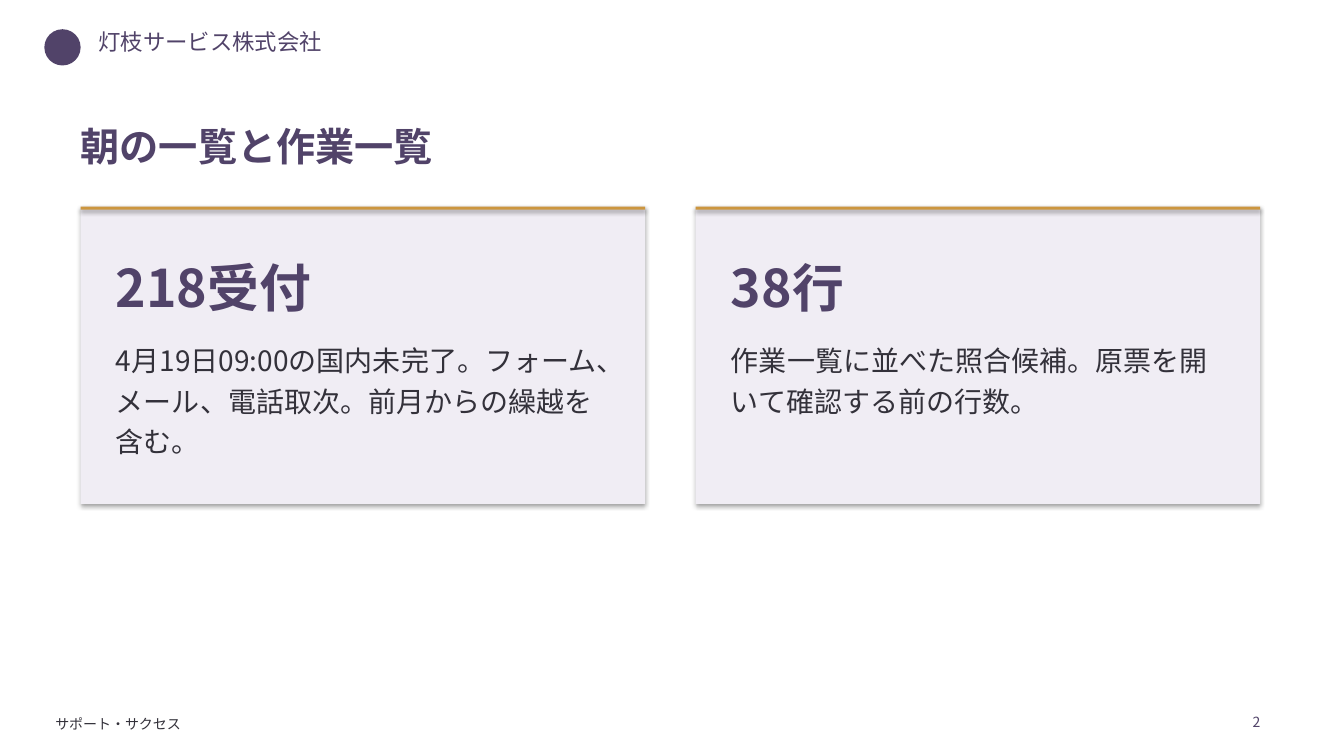
from lxml import etree
from pptx import Presentation
from pptx.dml.color import RGBColor
from pptx.enum.shapes import MSO_SHAPE
from pptx.enum.text import MSO_ANCHOR, MSO_AUTO_SIZE, PP_ALIGN
from pptx.oxml.ns import qn
from pptx.util import Inches, Pt

RECTANGLE = MSO_SHAPE.RECTANGLE
OVAL = MSO_SHAPE.OVAL
TOP, MIDDLE = MSO_ANCHOR.TOP, MSO_ANCHOR.MIDDLE
LEFT, RIGHT = PP_ALIGN.LEFT, PP_ALIGN.RIGHT
FIT_SHAPE, FIXED = MSO_AUTO_SIZE.SHAPE_TO_FIT_TEXT, MSO_AUTO_SIZE.NONE

CELL = Inches(0.1)
MARGIN, CARD_WIDTH, GUTTER = 8, 56, 5
CARD_TOP, CARD_HEIGHT, BAR_HEIGHT = 20.5, 29.5, 0.3
COLORS = {"purple": "514369", "gold": "CC963F", "lilac": "F0EDF4", "ink": "33313A"}
CARDS = [
    ("218受付", "4月19日09:00の国内未完了。フォーム、メール、電話取次。前月からの繰越を含む。"),
    ("38行", "作業一覧に並べた照合候補。原票を開いて確認する前の行数。"),
]


def grid(*cells):
    return [round(cell * CELL) for cell in cells]


class SlideBuilder:
    font_name = "Noto Sans CJK JP"
    line_spacing = 1.2

    def __init__(self, presentation):
        self.slide = presentation.slides.add_slide(presentation.slide_layouts[5])

    def add_text(self, paragraph, text, size, color, bold=False, align=LEFT, spacing=None):
        paragraph.alignment = align
        paragraph.line_spacing = spacing
        run = paragraph.add_run()
        run.text = text
        font = run.font
        font.size, font.bold, font.name = Pt(size), bold, self.font_name
        font.color.rgb = RGBColor.from_string(COLORS[color])
        east_asian = etree.SubElement(font._element, qn("a:ea"))
        east_asian.set("typeface", self.font_name)

    def frame(self, shape, horizontal=0, vertical=0, anchor=TOP):
        frame = shape.text_frame
        frame.margin_left = frame.margin_right = round(horizontal * CELL)
        frame.margin_top = frame.margin_bottom = round(vertical * CELL)
        frame.vertical_anchor = anchor
        frame.word_wrap = True
        frame.auto_size = FIXED
        return frame

    def title(self, text, *cells):
        title = self.slide.shapes.title
        title.left, title.top, title.width, title.height = grid(*cells)
        paragraph = self.frame(title, anchor=MIDDLE).paragraphs[0]
        self.add_text(paragraph, text, 28, "purple", True, spacing=self.line_spacing)

    def label(self, text, size, color, *cells):
        frame = self.slide.shapes.add_textbox(*grid(*cells)).text_frame
        frame.word_wrap = False
        frame.auto_size = FIT_SHAPE
        self.add_text(frame.paragraphs[0], text, size, color)

    def page_number(self, text, *cells):
        box = self.slide.shapes.add_textbox(*grid(*cells))
        paragraph = self.frame(box).paragraphs[0]
        self.add_text(paragraph, text, 10, "purple", align=RIGHT, spacing=self.line_spacing)

    def block(self, kind, color, *cells, shadow=True):
        shape = self.slide.shapes.add_shape(kind, *grid(*cells))
        shape.fill.solid()
        shape.fill.fore_color.rgb = RGBColor.from_string(COLORS[color])
        shape.line.fill.background()
        if not shadow:
            shape.shadow.inherit = False
        return shape

    def card(self, column, figure, description):
        left = MARGIN + column * (CARD_WIDTH + GUTTER)
        panel = self.block(RECTANGLE, "lilac", left, CARD_TOP, CARD_WIDTH, CARD_HEIGHT)
        frame = self.frame(panel, 3.5, 3.6)
        heading = frame.paragraphs[0]
        self.add_text(heading, figure, 37, "purple", True, spacing=self.line_spacing)
        heading.space_after = Pt(14)
        self.add_text(frame.add_paragraph(), description, 20, "ink", spacing=self.line_spacing)
        self.block(RECTANGLE, "gold", left, CARD_TOP, CARD_WIDTH, BAR_HEIGHT)


def main():
    presentation = Presentation()
    presentation.slide_width, presentation.slide_height = Inches(13.33), Inches(7.5)
    builder = SlideBuilder(presentation)
    builder.block(OVAL, "purple", 4.4, 2.9, 3.6, 3.6, shadow=False)
    builder.label("灯枝サービス株式会社", 16, "purple", 8.8, 2.3, 29, 4.5)
    builder.label("サポート・サクセス", 10, "ink", 4.5, 70.5, 21, 2.5)
    builder.title("朝の一覧と作業一覧", MARGIN, 10, 2 * CARD_WIDTH + GUTTER, 8)
    builder.page_number("2", 121, 70.5, 4, 2.5)
    for column, (figure, description) in enumerate(CARDS):
        builder.card(column, figure, description)
    presentation.save("out.pptx")


if __name__ == "__main__":
    main()
